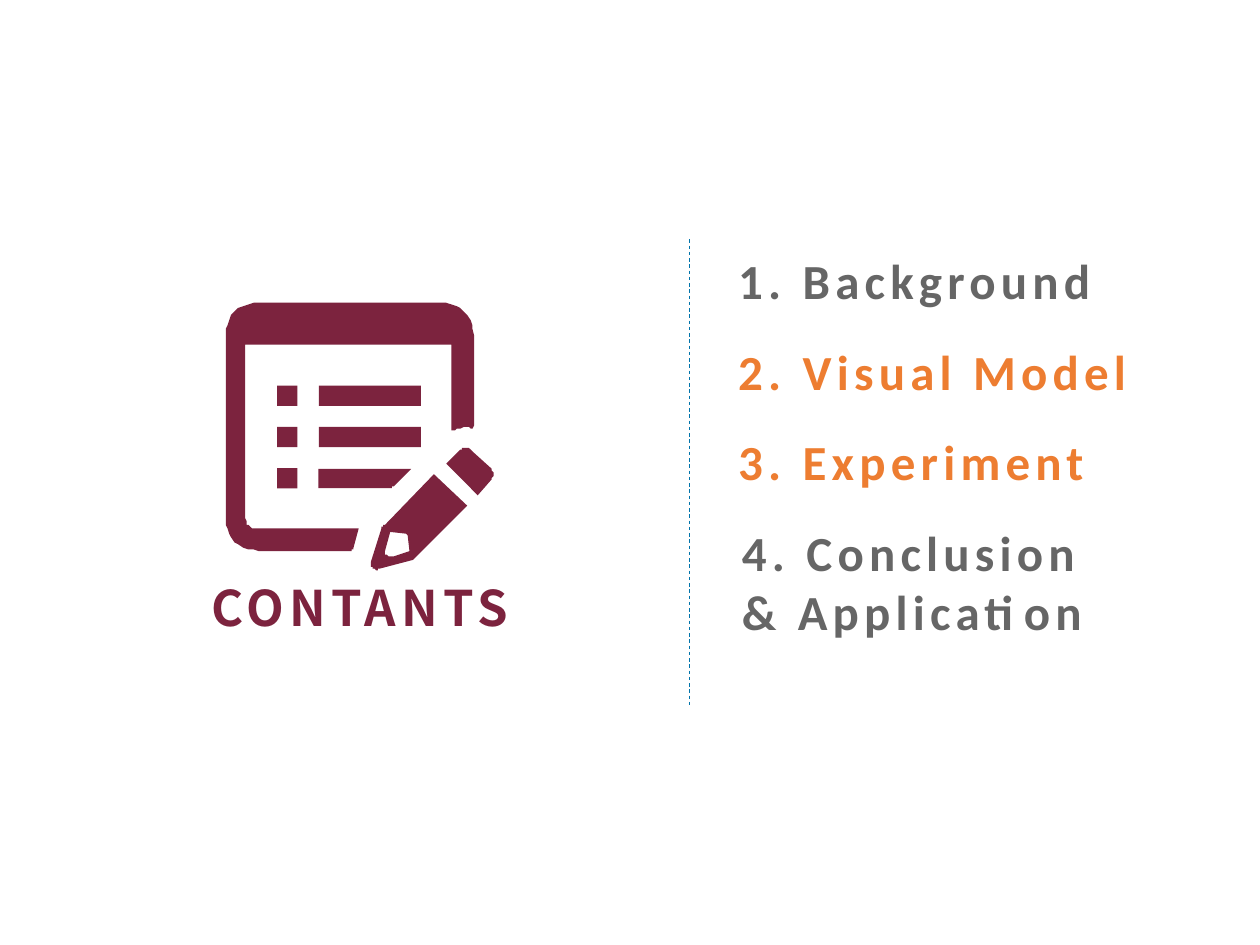
"""Build the contents slide: a notepad icon with its title beside four topics."""
from pptx import Presentation
from pptx.dml.color import RGBColor
from pptx.enum import dml, shapes, text
from pptx.oxml.ns import qn
from pptx.util import Pt

WINE = RGBColor(0x7C, 0x23, 0x3E)
GRAY = RGBColor(0x66, 0x66, 0x66)
ORANGE = RGBColor(0xED, 0x7D, 0x31)
BLUE = RGBColor(0x01, 0x74, 0xAB)

TOPICS = [
    (["1. Background"], 414.7, 257, GRAY),
    (["2. Visual Model"], 414.7, 286, ORANGE),
    (["3. Experiment"], 414.7, 257, ORANGE),
    (["4. Conclusion", "& Application"], 416.9, 257, GRAY),
]
TOP, STEP = 139.7, 51.8

# Two numbers make a straight step; six make a cubic curve.
PAD = [(205.2, 302.4), (202.3, 313.2), (202, 314.6, 201, 314.6, 200.2, 314.6),
       (147.6, 314.6), (137, 314.6, 128.9, 307, 128.9, 296.6),
       (128.9, 191.5), (128.9, 181, 137, 172.8, 147.6, 172.8),
       (252, 172.8), (262.5, 172.8, 270.7, 181, 270.7, 191.5),
       (270.7, 242.6), (270, 244.8), (266.4, 244.1, 262.8, 244.1, 258.5, 246.2),
       (258.5, 196.6), (140.4, 196.6), (140.4, 295.2),
       (140.4, 299.5, 142.6, 302.4, 147.6, 302.4)]
BODY = [(248.4, 271.4), (267.1, 289.4), (238.3, 317.5),
        (237.6, 318.4, 236.9, 319.2, 236.2, 319.7), (216.7, 325.4),
        (215.3, 325.8, 214, 325.5, 213.1, 324.7),
        (211.8, 323.6, 212, 322.5, 212.4, 321.1), (218.2, 301.7),
        (218.5, 300.8, 219, 300, 219.6, 299.5)]
TIP = [(223.2, 303.8), (219.6, 315.4), (219.7, 317.5, 222, 318, 224.6, 317.5),
       (234, 314.6), (232.6, 306), (231.8, 305.3)]
ERASER = [(254.9, 265), (262.1, 257.8), (264.2, 255.6, 267.8, 255.6, 270, 257.8),
          (280.1, 267.1), (282.2, 269.3, 282.2, 272.9, 280.1, 275), (272.9, 283)]
CUT = [(182.2, 267.5), (235.4, 267.5), (224.6, 277.9),
       (223.9, 278.7, 223.2, 279.1, 222.5, 279.1), (182.2, 279.1)]
ROW, PITCH, SIDE = 220.3, 23.6, 11.6
DOT, BAR, WIDE = 158.4, 182.2, 58.3


def trace(path, count=10):
    pts = []
    for step in path:
        if len(step) == 2:
            pts.append(step)
            continue
        ctrl = [pts[-1], step[:2], step[2:4], step[4:]]
        for i in range(1, count + 1):
            t = i / count
            mix = [(1 - t) ** 3, 3 * t * (1 - t) ** 2, 3 * t * t * (1 - t), t ** 3]
            pts.append(tuple(sum(m * c[k] for m, c in zip(mix, ctrl)) for k in (0, 1)))
    return pts


def paint(shape):
    shape.shadow.inherit = False
    shape.fill.solid()
    shape.fill.fore_color.rgb = WINE
    shape.line.fill.background()


def draw(icon, *paths):
    first, *rest = [trace(path) for path in paths]
    pen = icon.shapes.build_freeform(*first[0], scale=Pt(1))
    pen.add_line_segments(first[1:])
    for pts in rest:
        pen.move_to(*pts[0])
        pen.add_line_segments(pts[1:])
    paint(pen.convert_to_shape())


def block(icon, x, y, w):
    paint(icon.shapes.add_shape(shapes.MSO_SHAPE.RECTANGLE, Pt(x), Pt(y), Pt(w), Pt(SIDE)))


def write(slide, lines, x, y, w, h, color, font="Calibri", align=None):
    box = slide.shapes.add_textbox(Pt(x), Pt(y), Pt(w), Pt(h))
    frame = box.text_frame
    frame.word_wrap = True
    frame.auto_size = text.MSO_AUTO_SIZE.SHAPE_TO_FIT_TEXT
    for i, line in enumerate(lines):
        para = frame.add_paragraph() if i else frame.paragraphs[0]
        para.alignment = align
        run = para.add_run()
        run.text = line
        run.font.name, run.font.size, run.font.bold = font, Pt(28), True
        run.font.color.rgb = color
        run._r.get_or_add_rPr().set("spc", "300")


def main():
    deck = Presentation()
    deck.slide_width, deck.slide_height = Pt(720), Pt(540)
    slide = deck.slides.add_slide(deck.slide_layouts[6])

    rule = slide.shapes.add_connector(
        shapes.MSO_CONNECTOR.STRAIGHT, Pt(393.8), Pt(136.8), Pt(393.8), Pt(403.2))
    rule.line.color.rgb = BLUE
    rule.line.width = Pt(0.5)
    rule.line.dash_style = dml.MSO_LINE.DASH
    props = rule._element.spPr
    props.append(props.makeelement(qn("a:effectLst"), {}))

    for i, (lines, x, w, color) in enumerate(TOPICS):
        write(slide, lines, x, TOP + i * STEP, w, 7.2 + 34 * len(lines), color)

    icon = slide.shapes.add_group_shape()
    draw(icon, PAD)
    draw(icon, BODY, TIP)
    draw(icon, ERASER)
    draw(icon, CUT)
    for i in range(3):
        block(icon, DOT, ROW + i * PITCH, SIDE)
    for i in range(2):
        block(icon, BAR, ROW + i * PITCH, WIDE)

    write(slide, ["CONTANTS"], 100.8, 326.2, 209.5, 41, WINE,
          font="Noto Sans CJK SC", align=text.PP_ALIGN.CENTER)
    deck.save("out.pptx")


if __name__ == "__main__":
    main()
